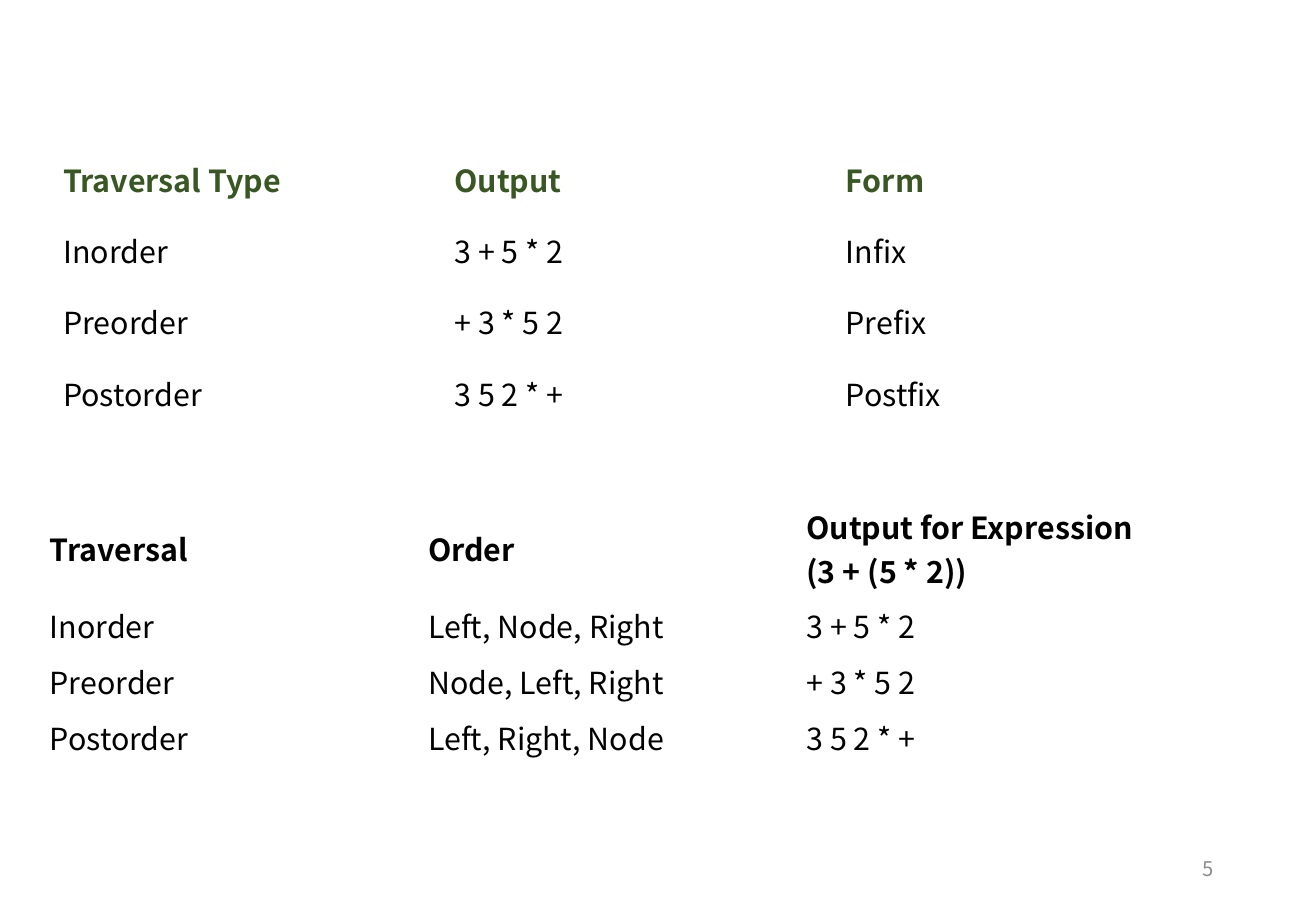
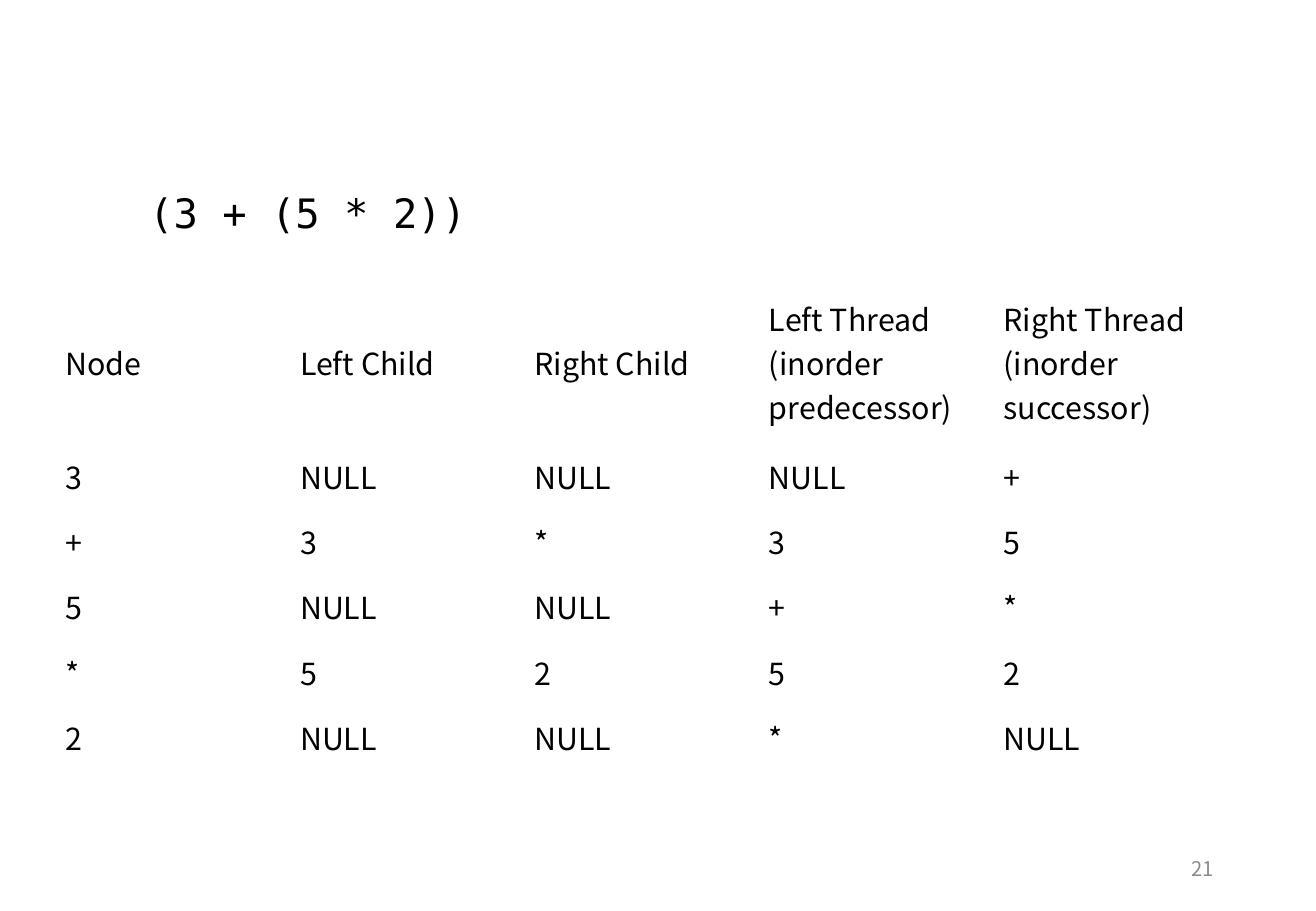
from dataclasses import dataclass

import pptx
import pptx.dml.color
import pptx.enum.text
import pptx.util

# Shared look; the grid has 100 columns and 100 rows per slide
WIDE, HIGH = pptx.util.Inches(10.83), pptx.util.Inches(7.5)
SANS, MONO = "Noto Sans CJK SC", "DejaVu Sans Mono"
BLACK, GREEN, GRAY = "000000", "385723", "8C8C8C"
ALIGN = pptx.enum.text.PP_ALIGN
MIDDLE = pptx.enum.text.MSO_ANCHOR.MIDDLE


@dataclass
class Style:
    size: float = 18
    font: str = SANS
    color: str = BLACK
    bold: bool = False


@dataclass
class Box:
    left: float
    top: float
    width: float
    height: float


@dataclass
class Grid:
    left: float
    top: float
    width: float  # one column
    head: float  # header row
    row: float  # each body row
    cells: list[list[str]]
    style: Style  # header text


def cols(count: float) -> int:
    return round(WIDE * count / 100)


def rows(count: float) -> int:
    return round(HIGH * count / 100)


def paint(frame, text: str, style: Style, align=ALIGN.LEFT) -> None:
    frame.text = text
    for para in frame.paragraphs:
        para.alignment = align
        for run in para.runs:
            font = run.font
            font.name, font.bold = style.font, style.bold
            font.size = pptx.util.Pt(style.size)
            font.color.rgb = pptx.dml.color.RGBColor.from_string(style.color)


def label(slide, text: str, box: Box, style: Style, align=ALIGN.LEFT):
    shape = slide.shapes.add_textbox(
        cols(box.left), rows(box.top), cols(box.width), rows(box.height))
    paint(shape.text_frame, text, style, align)
    return shape.text_frame


def table(slide, grid: Grid) -> None:
    deep, wide = len(grid.cells), len(grid.cells[0])
    tall = grid.head + grid.row * (deep - 1)
    item = slide.shapes.add_table(
        deep, wide, cols(grid.left), rows(grid.top),
        cols(grid.width * wide), rows(tall)).table
    item.first_row = item.horz_banding = False
    for col in item.columns:
        col.width = cols(grid.width)
    for index, line in enumerate(grid.cells):
        item.rows[index].height = rows(grid.row if index else grid.head)
        for place, text in enumerate(line):
            cell = item.cell(index, place)
            cell.fill.background()
            cell.vertical_anchor = MIDDLE
            paint(cell.text_frame, text, Style() if index else grid.style)


def page(deck, number: int, grids: list[Grid]):
    slide = deck.slides.add_slide(deck.slide_layouts[6])
    frame = label(slide, str(number), Box(70.64, 92.67, 22.53, 5.33),
                  Style(12, color=GRAY), ALIGN.RIGHT)
    frame.word_wrap = True
    frame.vertical_anchor = MIDDLE
    for grid in grids:
        table(slide, grid)
    return slide


# Table contents
FORMS = [
    ["Traversal Type", "Output", "Form"],
    ["Inorder", "3 + 5 * 2", "Infix"],
    ["Preorder", "+ 3 * 5 2", "Prefix"],
    ["Postorder", "3 5 2 * +", "Postfix"],
]
ORDERS = [
    ["Traversal", "Order", "Output for Expression (3 + (5 * 2))"],
    ["Inorder", "Left, Node, Right", "3 + 5 * 2"],
    ["Preorder", "Node, Left, Right", "+ 3 * 5 2"],
    ["Postorder", "Left, Right, Node", "3 5 2 * +"],
]
THREADS = [
    ["Node", "Left Child", "Right Child",
     "Left Thread (inorder predecessor)", "Right Thread (inorder successor)"],
    ["3", "NULL", "NULL", "NULL", "+"],
    ["+", "3", "*", "3", "5"],
    ["5", "NULL", "NULL", "+", "*"],
    ["*", "5", "2", "5", "2"],
    ["2", "NULL", "NULL", "*", "NULL"],
]


def main() -> None:
    deck = pptx.Presentation()
    deck.slide_width, deck.slide_height = WIDE, HIGH

    # Traversal orders
    page(deck, 5, [
        Grid(3.88, 15.73, 29.73, 7.83, 7.83, FORMS,
             Style(color=GREEN, bold=True)),
        Grid(2.86, 54.67, 28.75, 10.93, 6.13, ORDERS, Style(bold=True)),
    ])

    # Threaded tree
    slide = page(deck, 21, [
        Grid(4.06, 30.8, 17.82, 17.87, 7.17, THREADS, Style())])
    frame = label(slide, "(3 + (5 * 2))", Box(10.43, 20, 26.04, 6.67),
                  Style(24, MONO))
    frame.word_wrap = False

    deck.save("out.pptx")


if __name__ == "__main__":
    main()
